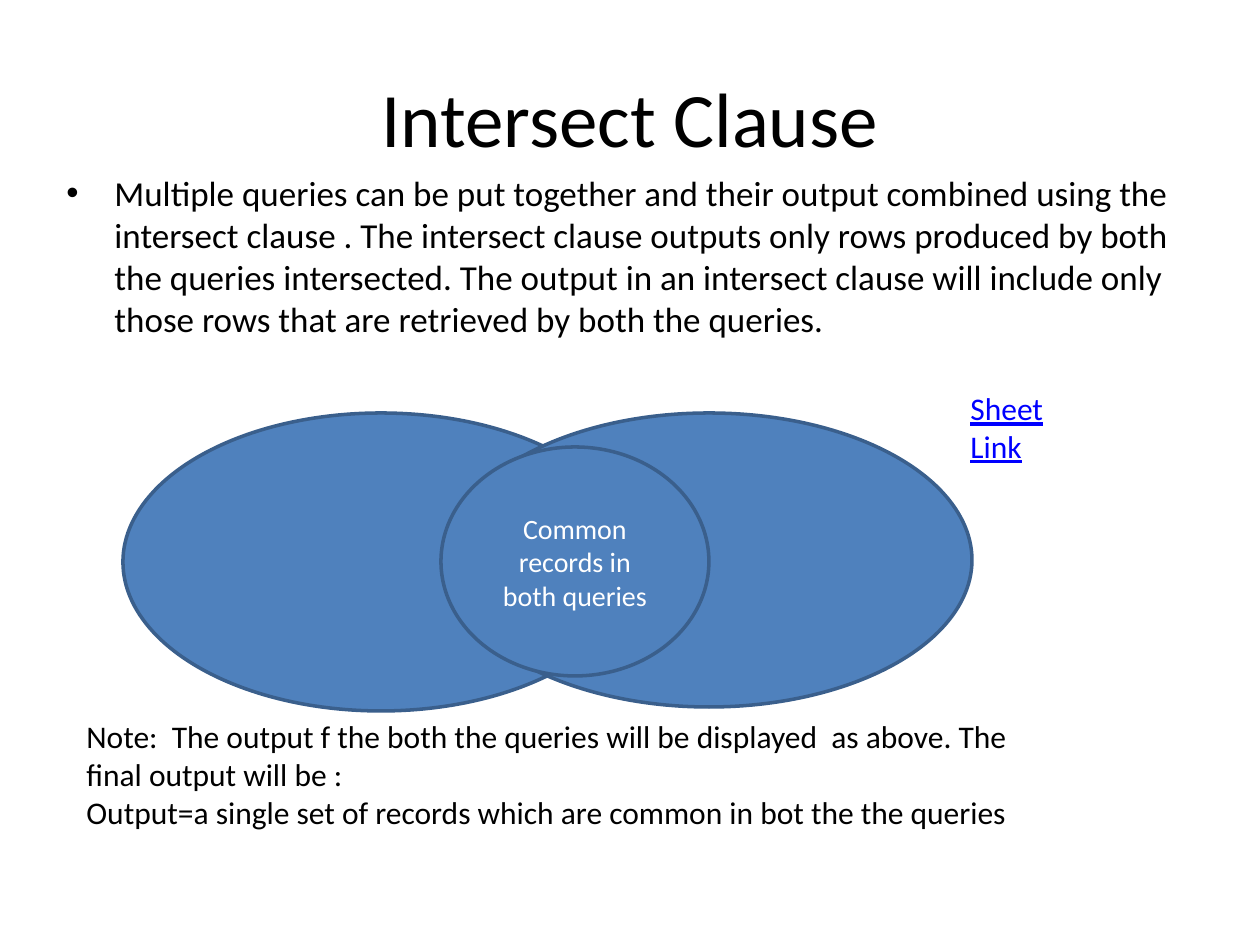
from lxml import etree
from pptx import Presentation
from pptx.dml.color import RGBColor
from pptx.enum.shapes import MSO_SHAPE
from pptx.enum.text import MSO_ANCHOR, PP_ALIGN
from pptx.oxml.ns import qn
from pptx.util import Pt

EMU_PER_PIXEL = 914400 // 126
SLIDE_SIZE = (1260, 945)
FONT = "Calibri"
BLACK = RGBColor(0x00, 0x00, 0x00)
WHITE = RGBColor(0xFF, 0xFF, 0xFF)
BLUE = RGBColor(0x4F, 0x81, 0xBD)
DARK_BLUE = RGBColor(0x3A, 0x5F, 0x8C)
LINK_BLUE = RGBColor(0x00, 0x00, 0xFF)
OVAL = MSO_SHAPE.OVAL
TOP, MIDDLE = MSO_ANCHOR.TOP, MSO_ANCHOR.MIDDLE
LEFT, CENTER = PP_ALIGN.LEFT, PP_ALIGN.CENTER


def px(value):
    return value * EMU_PER_PIXEL


def write(frame, lines, size, color=BLACK, align=LEFT, anchor=TOP, underline=None):
    frame.word_wrap = True
    frame.vertical_anchor = anchor
    for index, line in enumerate(lines):
        paragraph = frame.paragraphs[0] if index == 0 else frame.add_paragraph()
        paragraph.alignment = align
        run = paragraph.add_run()
        run.text = line
        run.font.name = FONT
        run.font.size = Pt(size)
        run.font.color.rgb = color
        run.font.underline = underline


def add_text(slide, box, lines, size, **style):
    frame = slide.shapes.add_textbox(*map(px, box)).text_frame
    write(frame, lines, size, **style)
    return frame


def add_bullet(paragraph, indent):
    properties = paragraph._p.get_or_add_pPr()
    properties.set("marL", str(px(indent)))
    properties.set("indent", str(-px(indent)))
    etree.SubElement(properties, qn("a:buFont")).set("typeface", "Arial")
    etree.SubElement(properties, qn("a:buChar")).set("char", "•")


def add_ellipse(slide, box):
    ellipse = slide.shapes.add_shape(OVAL, *map(px, box))
    ellipse.shadow.inherit = False
    ellipse.fill.solid()
    ellipse.fill.fore_color.rgb = BLUE
    ellipse.line.color.rgb = DARK_BLUE
    ellipse.line.width = Pt(2)
    return ellipse


def main():
    presentation = Presentation()
    presentation.slide_width, presentation.slide_height = map(px, SLIDE_SIZE)
    slide = presentation.slides.add_slide(presentation.slide_layouts[6])

    add_text(slide, (63, 38, 1134, 158), ["Intersect Clause"], 44,
             align=CENTER, anchor=MIDDLE)
    explanation = add_text(slide, (54, 165, 1134, 624), [
        "Multiple queries can be put together and their output combined using "
        "the intersect clause . The intersect clause outputs only rows produced "
        "by both the queries intersected. The output in an intersect clause will "
        "include only those rows that are retrieved by both the queries."], 20)
    add_bullet(explanation.paragraphs[0], 48)

    add_ellipse(slide, (123, 413, 516, 298))
    add_ellipse(slide, (446, 413, 526, 294))
    common_records = add_ellipse(slide, (441, 447, 268, 229))
    write(common_records.text_frame, ["Common records in both queries"], 16,
          color=WHITE, align=CENTER, anchor=MIDDLE)

    add_text(slide, (74, 711, 953, 127), [
        "Note:  The output f the both the queries will be displayed  as above. "
        "The final output will be :",
        "Output=a single set of records which are common in bot the the queries"], 18)
    add_text(slide, (958, 383, 118, 89), ["Sheet Link"], 18,
             color=LINK_BLUE, underline=True)

    presentation.save("out.pptx")


main()
